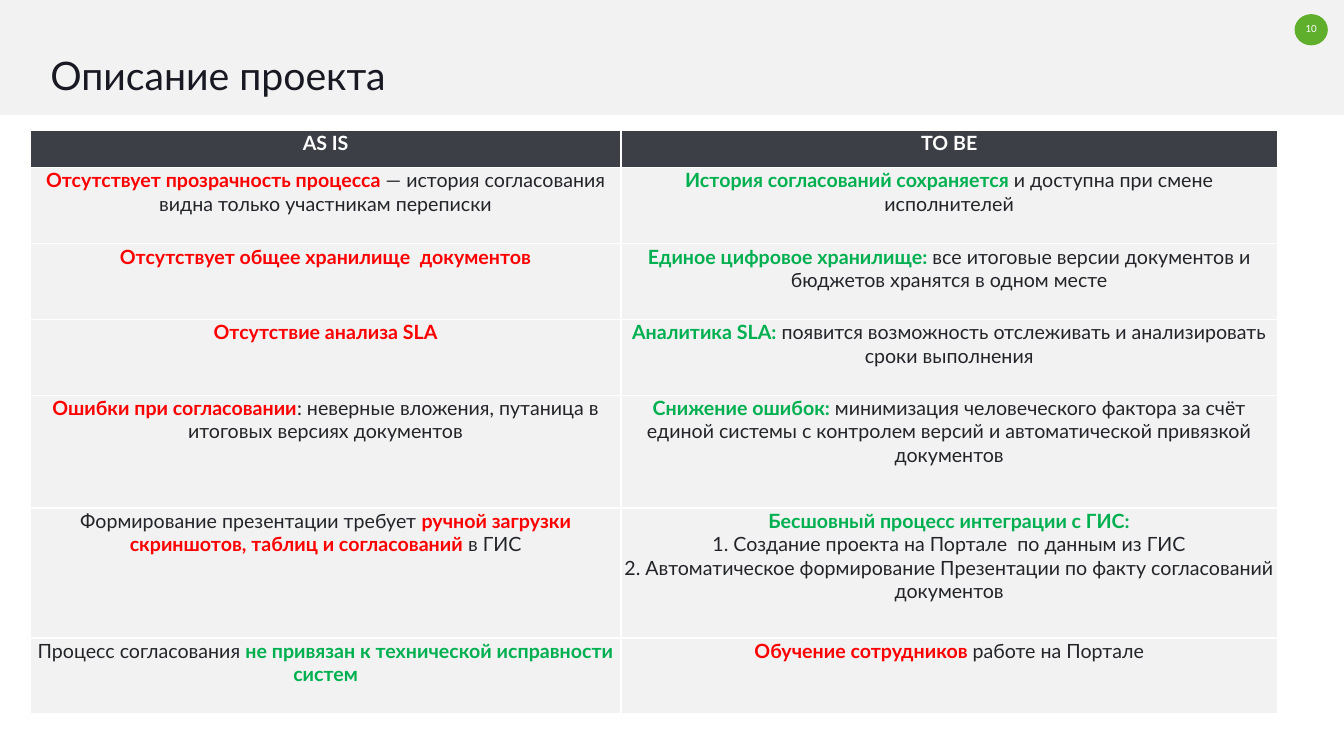
from dataclasses import dataclass

from lxml.etree import SubElement
from pptx import Presentation
from pptx.dml.color import RGBColor
from pptx.enum.shapes import MSO_SHAPE as Shape
from pptx.enum.text import MSO_ANCHOR as Anchor, PP_ALIGN as Align
from pptx.oxml.ns import qn
from pptx.util import Inches, Pt

FONT = "Lato"
WHITE, PALE, DARK, INK = "FFFFFF", "F2F2F2", "3C4046", "222429"
RED, GREEN, BADGE_GREEN, TITLE_INK = "FF0000", "00B050", "5FAF2D", "191923"


@dataclass(frozen=True)
class Run:
    text: str
    color: str = INK
    bold: bool = False


@dataclass(frozen=True)
class Box:
    left: float
    top: float
    width: float
    height: float

    def lengths(self) -> tuple:
        return tuple(Inches(n) for n in (self.left, self.top, self.width, self.height))


@dataclass(frozen=True)
class Row:
    height: float
    as_is: list[list[Run]]
    to_be: list[list[Run]]
    fill: str = PALE


def red(text: str) -> Run:
    return Run(text, RED, True)


def green(text: str) -> Run:
    return Run(text, GREEN, True)


def heading(text: str) -> Run:
    return Run(text, WHITE, True)


COLUMN_WIDTHS = (5.86, 6.51)
ROWS = [
    Row(0.37, [[heading("AS IS")]], [[heading("TO BE")]], DARK),
    Row(0.76,
        [[red("Отсутствует прозрачность процесса "),
          Run("— история согласования видна только участникам переписки")]],
        [[green("История согласований сохраняется "),
          Run("и доступна при смене исполнителей")]]),
    Row(0.75,
        [[red("Отсутствует общее хранилище  документов")]],
        [[green("Единое цифровое хранилище: "),
          Run("все итоговые версии документов и бюджетов хранятся в одном месте")]]),
    Row(0.75,
        [[red("Отсутствие анализа SLA")]],
        [[green("Аналитика SLA: "),
          Run("появится возможность отслеживать и анализировать сроки выполнения")]]),
    Row(1.12,
        [[red("Ошибки при согласовании"),
          Run(": неверные вложения, путаница в итоговых версиях документов")]],
        [[green("Снижение ошибок: "),
          Run("минимизация человеческого фактора за счёт единой системы "
              "с контролем версий и автоматической привязкой документов")]]),
    Row(1.29,
        [[Run("Формирование презентации требует "),
          red("ручной загрузки скриншотов, таблиц и согласований "),
          Run("в ГИС")]],
        [[green("Бесшовный процесс интеграции с ГИС:")],
         [Run("1. Создание проекта на Портале  по данным из ГИС")],
         [Run("2. Автоматическое формирование Презентации по факту "
              "согласований документов")]]),
    Row(0.75,
        [[Run("Процесс согласования "),
          green("не привязан к технической исправности систем")]],
        [[red("Обучение сотрудников "), Run("работе на Портале")]]),
]


def rgb(color: str) -> RGBColor:
    return RGBColor.from_string(color)


def add_plain_shape(slide, kind: Shape, box: Box, fill: str) -> None:
    shape = slide.shapes.add_shape(kind, *box.lengths())
    shape.shadow.inherit = False
    shape.fill.solid()
    shape.fill.fore_color.rgb = rgb(fill)
    shape.line.fill.background()


def add_text(slide, box: Box, text: str, size: float, color: str,
             anchor: Anchor = Anchor.TOP, align: Align = Align.LEFT):
    """Add a one-paragraph text box without margins and return the paragraph."""
    frame = slide.shapes.add_textbox(*box.lengths()).text_frame
    frame.word_wrap = True
    frame.vertical_anchor = anchor
    frame.margin_left = frame.margin_top = frame.margin_right = frame.margin_bottom = 0
    paragraph = frame.paragraphs[0]
    paragraph.text = text
    paragraph.alignment = align
    paragraph.font.name = FONT
    paragraph.font.size = Pt(size)
    paragraph.font.color.rgb = rgb(color)
    return paragraph


def set_borders(cell, color: str, width: float) -> None:
    properties = cell._tc.get_or_add_tcPr()
    for side in ("a:lnL", "a:lnR", "a:lnT", "a:lnB"):
        line = SubElement(properties, qn(side), w=str(Pt(width)))
        fill = SubElement(line, qn("a:solidFill"))
        SubElement(fill, qn("a:srgbClr"), val=color)


def fill_cell(cell, paragraphs: list[list[Run]], fill: str) -> None:
    set_borders(cell, WHITE, 1)
    cell.fill.solid()
    cell.fill.fore_color.rgb = rgb(fill)
    cell.margin_left = cell.margin_right = cell.margin_top = Inches(0.01)
    cell.margin_bottom = 0
    frame = cell.text_frame
    for index, runs in enumerate(paragraphs):
        paragraph = frame.add_paragraph() if index else frame.paragraphs[0]
        paragraph.alignment = Align.CENTER
        paragraph.font.name = FONT
        paragraph.font.size = Pt(14)
        for part in runs:
            run = paragraph.add_run()
            run.text = part.text
            run.font.bold = part.bold
            run.font.color.rgb = rgb(part.color)


def add_comparison(slide, left: float, top: float) -> None:
    box = Box(left, top, sum(COLUMN_WIDTHS), sum(row.height for row in ROWS))
    table = slide.shapes.add_table(len(ROWS), len(COLUMN_WIDTHS), *box.lengths()).table
    table.first_row = table.horz_banding = False
    for column, width in zip(table.columns, COLUMN_WIDTHS):
        column.width = Inches(width)
    for table_row, row in zip(table.rows, ROWS):
        table_row.height = Inches(row.height)
        for cell, paragraphs in zip(table_row.cells, (row.as_is, row.to_be)):
            fill_cell(cell, paragraphs, row.fill)


def main() -> None:
    presentation = Presentation()
    presentation.slide_width = Inches(13.33)
    presentation.slide_height = Inches(7.5)
    slide = presentation.slides.add_slide(presentation.slide_layouts[6])

    add_plain_shape(slide, Shape.RECTANGLE, Box(0, 0, 13.33, 1.14), PALE)
    add_plain_shape(slide, Shape.OVAL, Box(12.84, 0.14, 0.33, 0.31), BADGE_GREEN)
    add_text(slide, Box(12.83, 0.22, 0.35, 0.13), "10", 7, WHITE,
             Anchor.MIDDLE, Align.CENTER)
    title = add_text(slide, Box(0.5, 0.42, 10.42, 0.52), "Описание проекта", 28, TITLE_INK)
    title.line_spacing = Pt(40)
    add_comparison(slide, 0.3, 1.29)

    presentation.save("out.pptx")


if __name__ == "__main__":
    main()
